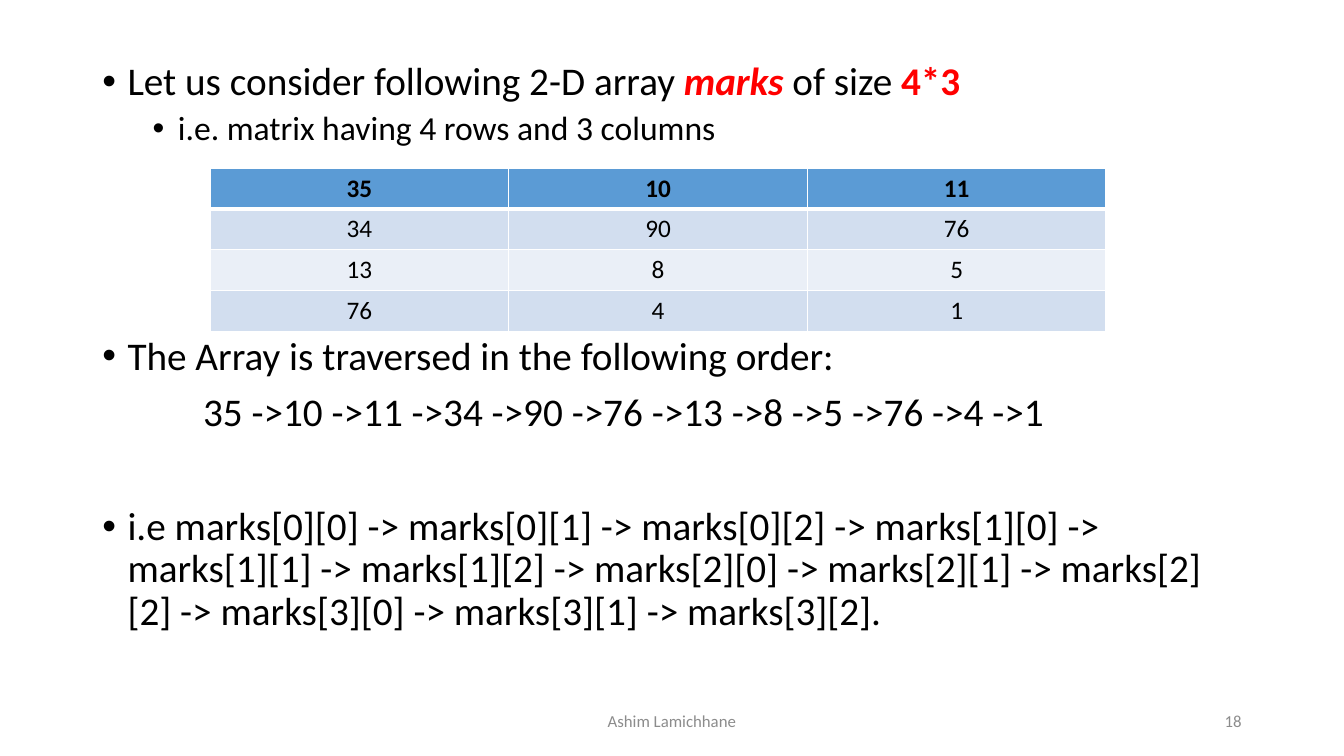
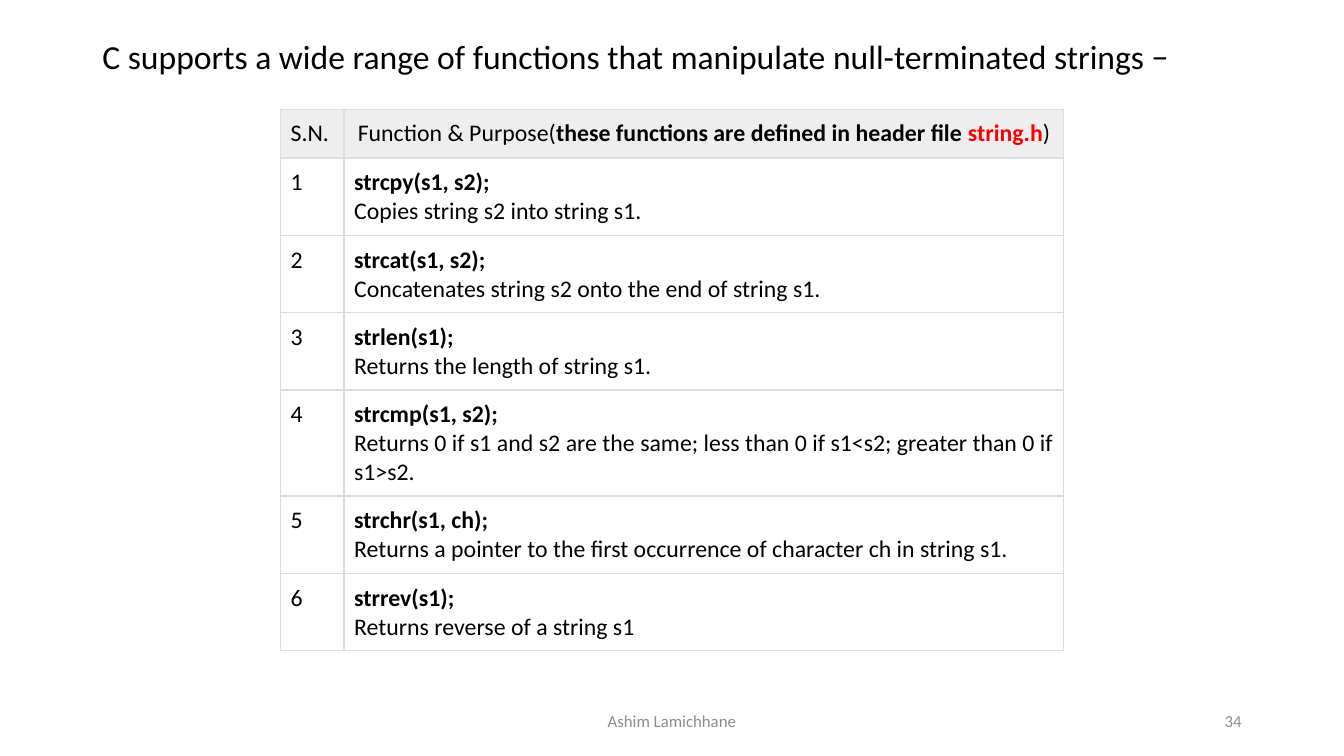
from dataclasses import dataclass

from lxml import etree
from pptx import Presentation
from pptx.dml.color import RGBColor
from pptx.enum.text import MSO_ANCHOR, PP_ALIGN
from pptx.oxml.ns import qn
from pptx.util import Inches, Pt

LEFT, MID = PP_ALIGN.LEFT, PP_ALIGN.CENTER
RIGHT, FULL = PP_ALIGN.RIGHT, PP_ALIGN.JUSTIFY
TOP, CENTER = MSO_ANCHOR.TOP, MSO_ANCHOR.MIDDLE

FONT = "Calibri"
WIDE, HIGH = Inches(13.333), Inches(7.5)
COLS, ROWS = 160, 90  # grid of the slide
EDGE, SPAN = 11, 138  # left margin and content width, in columns
COLORS = {
    "ink": "000000", "red": "FF0000", "gray": "8C8C8C", "white": "FFFFFF",
    "head": "5B9BD5", "band": "D2DEEF", "pale": "EAEFF7",
    "shade": "EEEEEE", "rule": "DDDDDD",
}


@dataclass(frozen=True)
class Piece:
    text: str
    bold: bool = False
    italic: bool = False
    color: str = "ink"


@dataclass(frozen=True)
class Para:
    pieces: tuple[Piece, ...]
    size: float
    align: PP_ALIGN = LEFT
    before: float = 0
    line: float = 1.0
    indent: float = 0
    bullet: bool = False


@dataclass(frozen=True)
class Cell:
    paras: tuple[Para, ...]
    fill: str = ""


@dataclass(frozen=True)
class Grid:
    """A table; places and sizes are in slide columns and rows."""
    left: float
    top: float
    widths: tuple[float, ...]
    heights: tuple[float, ...]
    cells: list[list[Cell]]
    rule: str
    pad: float = 0.05
    heavy: float = 1  # width of the line under the first row


def x(cols: float) -> int:
    return round(WIDE * cols / COLS)


def y(rows: float) -> int:
    return round(HIGH * rows / ROWS)


def rgb(name: str) -> RGBColor:
    return RGBColor.from_string(COLORS[name])


def style(para, item: Para) -> None:
    para.alignment = item.align
    para.line_spacing = item.line
    para.space_before = Pt(item.before)
    props = para._p.get_or_add_pPr()
    props.set("marL", str(Inches(item.indent)))
    props.set("indent", str(Inches(-0.25 if item.bullet else 0)))
    if item.bullet:
        etree.SubElement(props, qn("a:buFont")).set("typeface", "Arial")
        etree.SubElement(props, qn("a:buChar")).set("char", "•")


def write(frame, items: tuple[Para, ...]) -> None:
    for i, item in enumerate(items):
        para = frame.paragraphs[0] if i == 0 else frame.add_paragraph()
        style(para, item)
        for piece in item.pieces:
            run = para.add_run()
            run.text = piece.text
            font = run.font
            font.name, font.size = FONT, Pt(item.size)
            font.bold, font.italic = piece.bold, piece.italic
            font.color.rgb = rgb(piece.color)


def label(slide, left: float, top: float, width: float, height: float,
          items: tuple[Para, ...], anchor: MSO_ANCHOR = CENTER) -> None:
    box = slide.shapes.add_textbox(x(left), y(top), x(width), y(height))
    frame = box.text_frame
    frame.word_wrap = True
    frame.vertical_anchor = anchor
    write(frame, items)


def border(cell, color: str, above: float, below: float) -> None:
    props = cell._tc.get_or_add_tcPr()
    sides = {"L": 1, "R": 1, "T": above, "B": below}
    for i, (side, width) in enumerate(sides.items()):
        line = etree.Element(qn(f"a:ln{side}"), w=str(Pt(width)))
        fill = etree.SubElement(line, qn("a:solidFill"))
        etree.SubElement(fill, qn("a:srgbClr")).set("val", COLORS[color])
        props.insert(i, line)


def draw(slide, grid: Grid) -> None:
    table = slide.shapes.add_table(
        len(grid.heights), len(grid.widths), x(grid.left), y(grid.top),
        x(sum(grid.widths)), y(sum(grid.heights))).table
    table.first_row = table.horz_banding = False
    for col, width in zip(table.columns, grid.widths):
        col.width = x(width)
    for r, (row, height) in enumerate(zip(grid.cells, grid.heights)):
        table.rows[r].height = y(height)
        for c, item in enumerate(row):
            cell = table.cell(r, c)
            cell.margin_left = cell.margin_right = Inches(0.1)
            cell.margin_top = cell.margin_bottom = Inches(grid.pad)
            if item.fill:
                cell.fill.solid()
                cell.fill.fore_color.rgb = rgb(item.fill)
            else:
                cell.fill.background()
            border(cell, grid.rule, grid.heavy if r == 1 else 1,
                   grid.heavy if r == 0 else 1)
            write(cell.text_frame, item.paras)


def start(deck, number: int):
    """Add a blank slide with the shared footer."""
    slide = deck.slides.add_slide(deck.slide_layouts[6])
    for left, width, text, align in (
            (53, 54, "Ashim Lamichhane", MID), (113, 36, str(number), RIGHT)):
        note = Para((Piece(text, color="gray"),), 12, align)
        label(slide, left, 83.4, width, 4.8, (note,))
    return slide


def point(*pieces: Piece, before: float = 10) -> Para:
    return Para(pieces, 28, before=before, line=0.9, indent=0.25, bullet=True)


def arrays(deck) -> None:
    marks = ((35, 10, 11), (34, 90, 76), (13, 8, 5), (76, 4, 1))
    fills = ("head", "band", "pale", "band")
    order = " ->".join(str(mark) for row in marks for mark in row)
    names = " -> ".join(f"marks[{r}][{c}]" for r, row in enumerate(marks)
                        for c in range(len(row)))
    slide = start(deck, 18)
    label(slide, EDGE, 6.8, SPAN, 74.2, (
        point(Piece("Let us consider following 2-D array "),
              Piece("marks ", True, True, "red"),
              Piece("of size "), Piece("4*3", True, color="red")),
        Para((Piece("i.e. matrix having 4 rows and 3 columns"),), 24,
             before=5, line=0.9, indent=0.75, bullet=True),
        point(Piece("The Array is traversed in the following order:"),
              before=135),
        Para((Piece(order),), 28, before=10, line=0.9, indent=1),
        point(Piece(f"i.e {names}."), before=51),
    ), TOP)
    cells = [[Cell((Para((Piece(str(mark), r == 0),), 18, MID),), fills[r])
              for mark in row] for r, row in enumerate(marks)]
    draw(slide, Grid(25, 20, (35.56,) * 3, (4.86,) * 4, cells, "white",
                     heavy=3))


def strings(deck) -> None:
    funcs = (
        ("strcpy(s1, s2);", "Copies string s2 into string s1."),
        ("strcat(s1, s2);",
         "Concatenates string s2 onto the end of string s1."),
        ("strlen(s1);", "Returns the length of string s1."),
        ("strcmp(s1, s2);", "Returns 0 if s1 and s2 are the same; "
         "less than 0 if s1<s2; greater than 0 if s1>s2."),
        ("strchr(s1, ch);", "Returns a pointer to the first occurrence "
         "of character ch in string s1."),
        ("strrev(s1);", "Returns reverse of a string s1"),
    )
    size = 17
    slide = start(deck, 34)
    title = Piece("C supports a wide range of functions that manipulate "
                  "null-terminated strings −")
    label(slide, EDGE, 1.8, SPAN, 10.3, (Para((title,), 24, line=0.9),))
    head = (Piece("Function & Purpose("),
            Piece("these functions are defined in header file ", True),
            Piece("string.h", True, color="red"), Piece(")"))
    cells = [[Cell((Para((Piece("S.N."),), size),), "shade"),
              Cell((Para(head, size, MID),), "shade")]]
    for i, (call, use) in enumerate(funcs, 1):
        cells.append([Cell((Para((Piece(str(i)),), size),)),
                      Cell((Para((Piece(call, True),), size, FULL),
                            Para((Piece(use),), size, FULL)))])
    heights = (5.8, *(9.1,) * 3, 12.5, *(9.1,) * 2)
    draw(slide, Grid(33.4, 13, (7.56, 85.7), heights, cells, "rule", 0.1))


def main() -> None:
    deck = Presentation()
    deck.slide_width, deck.slide_height = WIDE, HIGH
    arrays(deck)
    strings(deck)
    deck.save("out.pptx")


if __name__ == "__main__":
    main()
